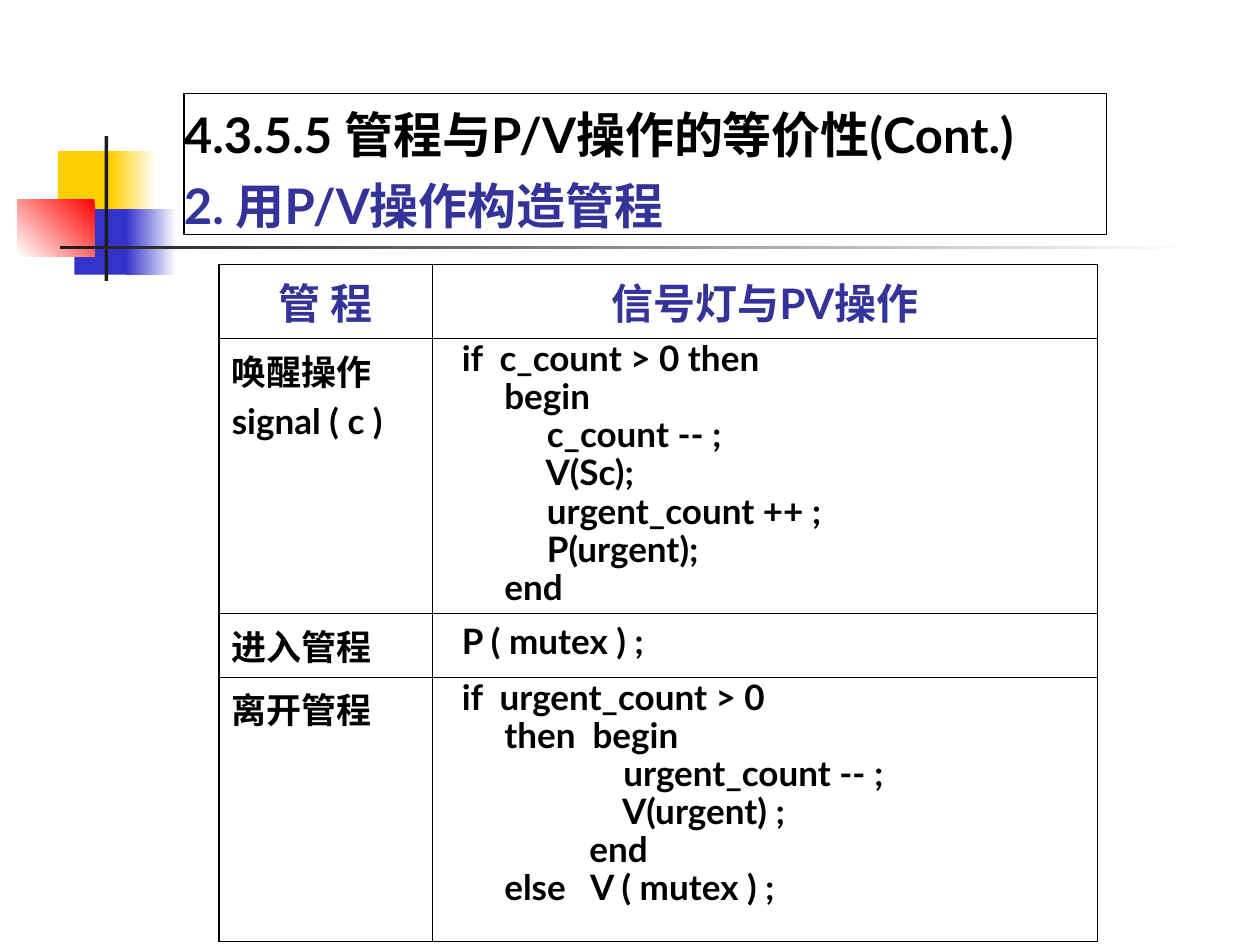
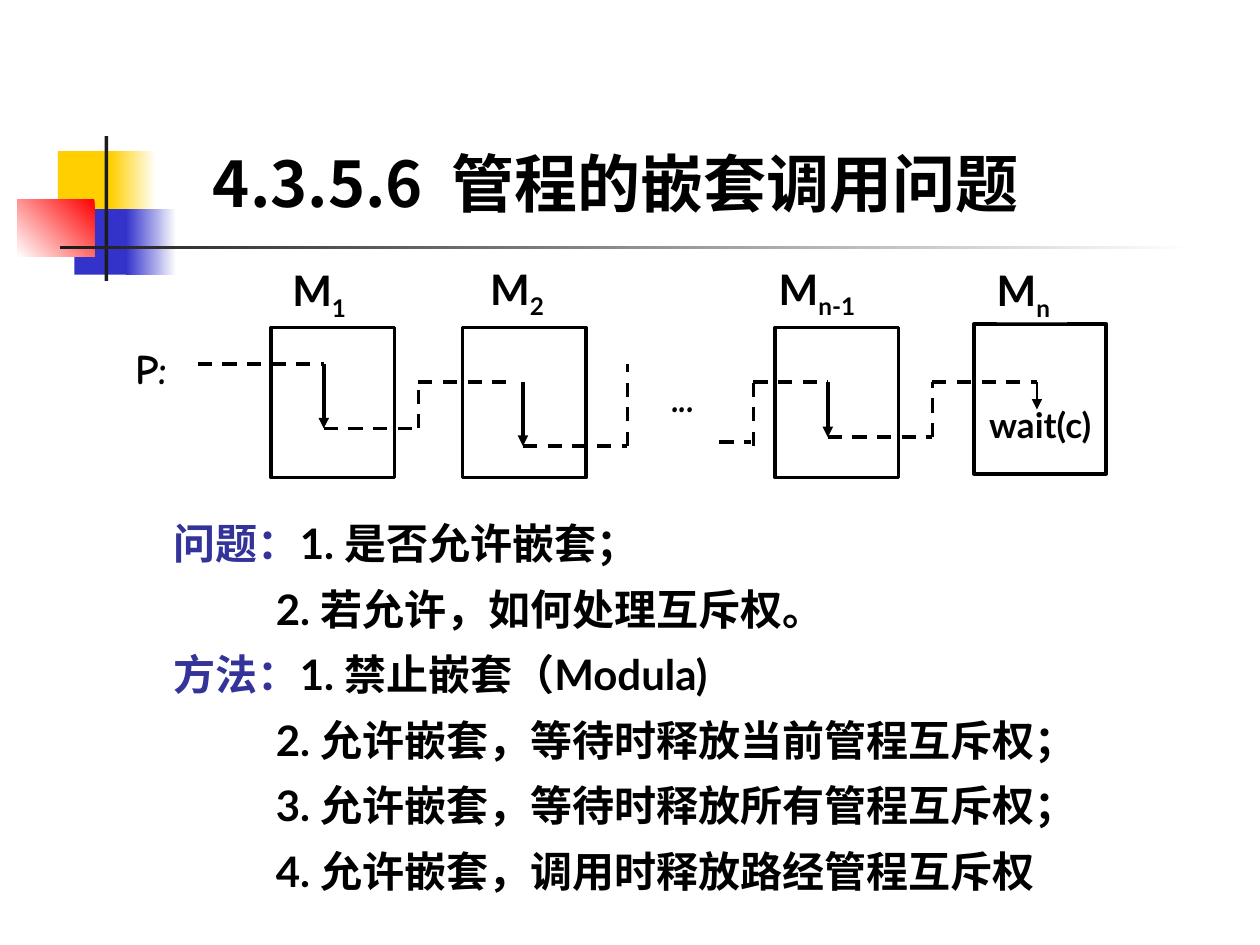
import pptx
import pptx.dml.color
import pptx.enum.dml
import pptx.enum.shapes
import pptx.enum.text
import pptx.oxml
import pptx.oxml.ns
import pptx.util
from pptx.util import Inches

BLACK, WHITE, NAVY = "000000", "FFFFFF", "333399"
YELLOW, BLUE, RED, CHARCOAL = "FFCF01", "3333CC", "FF0000", "1C1C1C"
LATIN, COMIC, CHINESE = "Lato", "Comic Neue", "Noto Sans CJK JP"
ALIGN = pptx.enum.text.PP_ALIGN
ANCHOR = pptx.enum.text.MSO_ANCHOR

DECORATION = [
    ((0.46, 1.2, 0.48, 0.52), [YELLOW], 0),
    ((0.88, 1.2, 0.36, 0.52), [WHITE, YELLOW], 180),
    ((0.59, 1.66, 0.46, 0.52), [BLUE], 0),
    ((1, 1.66, 0.4, 0.52), [WHITE, BLUE], 180),
    ((0.14, 1.58, 0.61, 0.46), [RED, WHITE], 225),
    ((0.83, 1.08, 0.03, 1.15), [CHARCOAL], 0),
    ((0.48, 1.95, 9, 0.03), [WHITE, CHARCOAL], 180),
]

OPERATIONS = [
    (["唤醒操作", "signal ( c )"], [
        "  if  c_count > 0 then",
        "       begin",
        "            c_count -- ;",
        "            V(Sc);",
        "            urgent_count ++ ;",
        "            P(urgent);",
        "       end",
    ]),
    (["进入管程"], ["  P ( mutex ) ;"]),
    (["离开管程"], [
        "  if  urgent_count > 0",
        "       then  begin",
        "                     urgent_count -- ;",
        "                     V(urgent) ;",
        "                 end",
        "       else   V ( mutex ) ;",
    ]),
]

MONITORS = [
    ("1", (2.15, 2.6, 0.98, 1.19), (2.32, 2.1, 0.56, 0.46)),
    ("2", (3.67, 2.6, 0.98, 1.19), (3.89, 2.09, 0.56, 0.46)),
    ("n-1", (6.15, 2.6, 0.98, 1.19), (6.18, 2.09, 0.79, 0.46)),
    ("n", (7.73, 2.57, 1.05, 1.19), (7.91, 2.1, 0.56, 0.46)),
]

CALL_PATHS = [
    [(1.57, 2.89), (2.57, 2.89)],
    [(2.57, 3.4), (3.32, 3.4), (3.32, 3.03), (4.07, 3.03)],
    [(4.15, 3.54), (4.98, 3.54), (4.98, 2.89)],
    [(5.71, 3.51), (5.96, 3.51)],
    [(5.98, 3.54), (5.98, 3.03), (6.57, 3.03)],
    [(6.57, 3.47), (7.4, 3.47), (7.4, 3.03), (8.23, 3.03)],
]

CALL_ARROWS = [
    ((2.57, 2.89), (2.57, 3.4), 2),
    ((4.15, 3.03), (4.15, 3.54), 2),
    ((6.57, 3.03), (6.57, 3.47), 2),
    ((8.23, 3.03), (8.23, 3.25), 0.75),
]

DISCUSSION = [
    ("问题：", "1. 是否允许嵌套；"),
    ("", "2. 若允许，如何处理互斥权。"),
    ("方法：", "1. 禁止嵌套（Modula)"),
    ("", "2. 允许嵌套，等待时释放当前管程互斥权；"),
    ("", "3. 允许嵌套，等待时释放所有管程互斥权；"),
    ("", "4. 允许嵌套，调用时释放路经管程互斥权"),
]


def color(value):
    return pptx.dml.color.RGBColor.from_string(value)


def add_element(parent, tag, **attributes):
    element = pptx.oxml.parse_xml(f"<a:{tag} {pptx.oxml.ns.nsdecls('a')}/>")
    for name, value in attributes.items():
        element.set(name, value)
    parent.append(element)
    return element


def format_run(run, size, value=BLACK, font=LATIN):
    run.font.size = pptx.util.Pt(size)
    run.font.bold = True
    run.font.name = font
    run.font.color.rgb = color(value)
    add_element(run._r.get_or_add_rPr(), "ea", typeface=CHINESE)


def write_lines(text_frame, lines, size, value=BLACK, font=LATIN,
                alignment=ALIGN.LEFT, line_spacing=1.0, space_before=0):
    text_frame.text = "\n".join(lines)
    for index, paragraph in enumerate(text_frame.paragraphs):
        paragraph.alignment = alignment
        paragraph.line_spacing = line_spacing
        paragraph.space_before = pptx.util.Pt(space_before if index else 0)
        for run in paragraph.runs:
            format_run(run, size, value, font)


def set_frame(text_frame, horizontal=0, vertical=0, anchor=ANCHOR.TOP):
    text_frame.word_wrap = True
    text_frame.auto_size = pptx.enum.text.MSO_AUTO_SIZE.NONE
    text_frame.vertical_anchor = anchor
    text_frame.margin_left = text_frame.margin_right = Inches(horizontal)
    text_frame.margin_top = text_frame.margin_bottom = Inches(vertical)


def add_rectangle(slide, box, fills, angle=0, outline=None):
    shape = slide.shapes.add_shape(
        pptx.enum.shapes.MSO_SHAPE.RECTANGLE, *map(Inches, box))
    shape.shadow.inherit = False
    if len(fills) == 1:
        shape.fill.solid()
        shape.fill.fore_color.rgb = color(fills[0])
    else:
        shape.fill.gradient()
        shape.fill.gradient_angle = angle
        for stop, value in zip(shape.fill.gradient_stops, fills):
            stop.color.rgb = color(value)
    if outline:
        shape.line.color.rgb = color(BLACK)
        shape.line.width = pptx.util.Pt(outline)
    else:
        shape.line.fill.background()
    return shape


def add_label(slide, box, text, font=LATIN, margins=(0, 0)):
    text_frame = add_rectangle(slide, box, [WHITE]).text_frame
    set_frame(text_frame, *margins)
    write_lines(text_frame, [text], 24, font=font)
    return text_frame.paragraphs[0]


def add_line(slide, start, end, width=2, arrow=False):
    connector = slide.shapes.add_connector(
        pptx.enum.shapes.MSO_CONNECTOR.STRAIGHT, *map(Inches, start + end))
    connector.line.color.rgb = color(BLACK)
    connector.line.width = pptx.util.Pt(width)
    if arrow:
        add_element(connector.line._get_or_add_ln(), "tailEnd", type="triangle")
    else:
        connector.line.dash_style = pptx.enum.dml.MSO_LINE.DASH
    add_element(connector._element.spPr, "effectLst")


def add_title(slide, box, lines, size, font=LATIN, line_spacing=1.0):
    title = slide.shapes.title
    title.left, title.top, title.width, title.height = map(Inches, box)
    set_frame(title.text_frame, anchor=ANCHOR.BOTTOM)
    write_lines(title.text_frame, lines, size, font=font, line_spacing=line_spacing)
    return title


def decorate_layout(layout, slide):
    for box, fills, angle in DECORATION:
        shape = add_rectangle(slide, box, fills, angle)
        layout.shapes.element.append(shape.element)


def set_borders(cell, outer_sides):
    properties = cell._tc.get_or_add_tcPr()
    for side in "LRTB":
        width = pptx.util.Pt(1.08 if side in outer_sides else 0.45)
        border = add_element(properties, f"ln{side}", w=str(width))
        add_element(add_element(border, "solidFill"), "srgbClr", val=BLACK)


def add_operations_table(slide):
    widths, heights = [1.69, 5.28], [0.5, 2.18, 0.44, 2.1]
    table = slide.shapes.add_table(
        len(heights), len(widths), Inches(1.74), Inches(2.1),
        Inches(sum(widths)), Inches(sum(heights))).table
    table.first_row = table.horz_banding = False
    for column, width in zip(table.columns, widths):
        column.width = Inches(width)
    for row, height in zip(table.rows, heights):
        row.height = Inches(height)
    last_row = len(heights) - 1
    for row_index, row in enumerate(table.rows):
        for column_index, cell in enumerate(row.cells):
            outer_sides = "LR"[column_index]
            outer_sides += {0: "T", last_row: "B"}.get(row_index, "")
            set_borders(cell, outer_sides)
            cell.fill.background()
    for column_index, heading in enumerate(["管 程", "信号灯与PV操作"]):
        write_lines(table.cell(0, column_index).text_frame, [heading], 24, NAVY,
                    alignment=ALIGN.CENTER)
    for row_index, (names, code) in enumerate(OPERATIONS, 1):
        write_lines(table.cell(row_index, 0).text_frame, names, 20, space_before=2.5)
        write_lines(table.cell(row_index, 1).text_frame, code, 20, space_before=2.5,
                    line_spacing=0.8 if len(code) > 1 else 1.0)


def add_discussion(slide):
    text_frame = slide.shapes.add_textbox(
        Inches(1.38), Inches(3.99), Inches(7.56), Inches(3.12)).text_frame
    set_frame(text_frame)
    for index, (heading, point) in enumerate(DISCUSSION):
        paragraph = text_frame.add_paragraph() if index else text_frame.paragraphs[0]
        paragraph.line_spacing = 1.3
        if heading:
            paragraph.text = heading
            format_run(paragraph.runs[0], 24, NAVY)
        else:
            properties = paragraph._p.get_or_add_pPr()
            properties.set("marL", str(Inches(0.81)))
            properties.set("indent", "0")
        run = paragraph.add_run()
        run.text = point
        format_run(run, 24)


def add_nested_calls(slide):
    for subscript, box, label_box in MONITORS:
        monitor = add_rectangle(slide, box, [WHITE], outline=2)
    set_frame(monitor.text_frame, 0.1, 0.05, ANCHOR.MIDDLE)
    monitor.text_frame.word_wrap = False
    monitor.text_frame.margin_top = Inches(0.45)
    write_lines(monitor.text_frame, ["wait(c)"], 20, alignment=ALIGN.CENTER)
    for points in CALL_PATHS:
        for start, end in zip(points, points[1:]):
            add_line(slide, start, end)
    for start, end, width in CALL_ARROWS:
        add_line(slide, start, end, width, arrow=True)
    for subscript, box, label_box in MONITORS:
        run = add_label(slide, label_box, "M").add_run()
        run.text = subscript
        format_run(run, 24)
        run._r.get_or_add_rPr().set("baseline", "-25000")
    add_label(slide, (0.98, 2.67, 0.5, 0.5), "P:", COMIC, (0.1, 0.05))
    add_label(slide, (5.23, 2.89, 0.58, 0.5), "...", COMIC, (0.1, 0.05))


def build_equivalence_slide(slide):
    add_operations_table(slide)
    title = add_title(
        slide, (1.46, 0.74, 7.32, 1.12),
        ["4.3.5.5 管程与P/V操作的等价性(Cont.)", "2. 用P/V操作构造管程"],
        28, line_spacing=1.2)
    title.line.color.rgb = color(BLACK)
    title.line.width = pptx.util.Pt(0.75)
    title.text_frame.paragraphs[1].runs[0].font.color.rgb = color(NAVY)


def build_nesting_slide(slide):
    add_title(slide, (1.69, 1.15, 6.66, 0.6), ["4.3.5.6  管程的嵌套调用问题"], 36, CHINESE)
    add_discussion(slide)
    add_nested_calls(slide)


def main():
    presentation = pptx.Presentation()
    presentation.slide_width, presentation.slide_height = Inches(10), Inches(7.5)
    layout = presentation.slide_layouts[5]
    equivalence_slide = presentation.slides.add_slide(layout)
    nesting_slide = presentation.slides.add_slide(layout)
    decorate_layout(layout, equivalence_slide)
    build_equivalence_slide(equivalence_slide)
    build_nesting_slide(nesting_slide)
    presentation.save("out.pptx")


if __name__ == "__main__":
    main()
